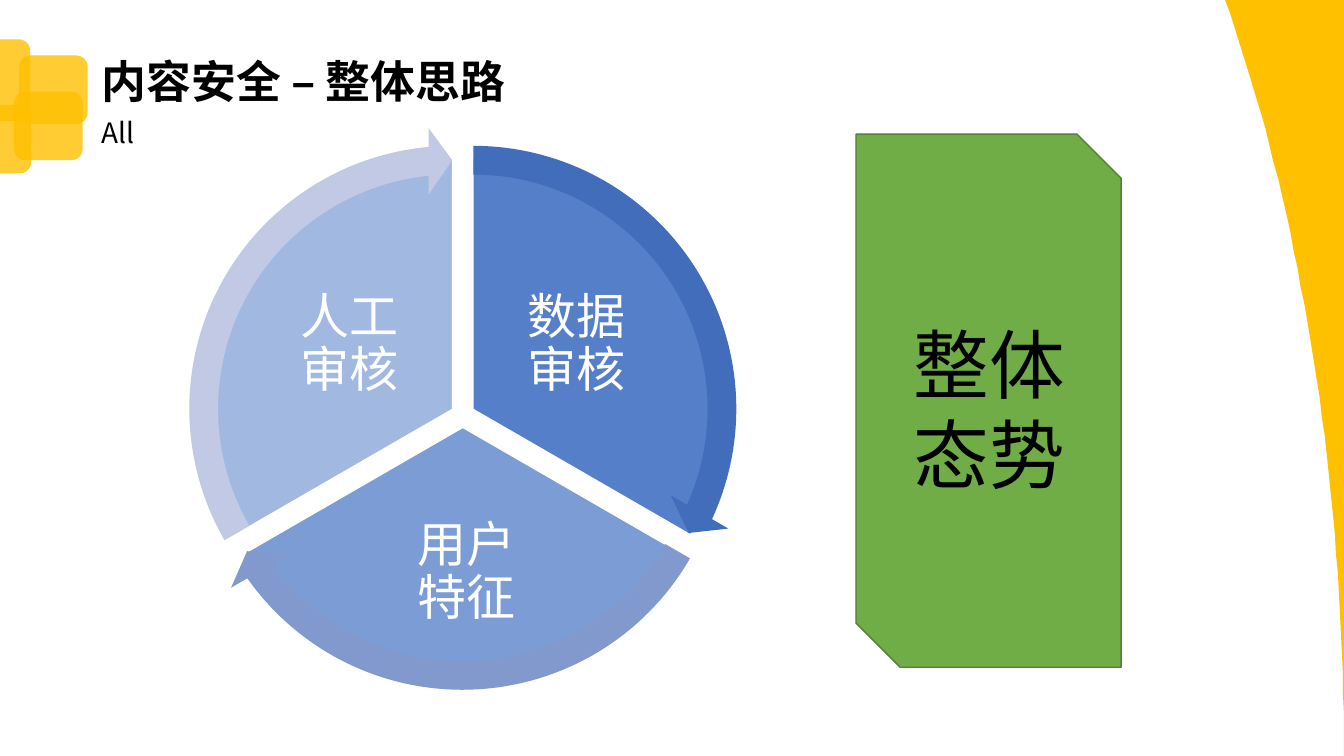
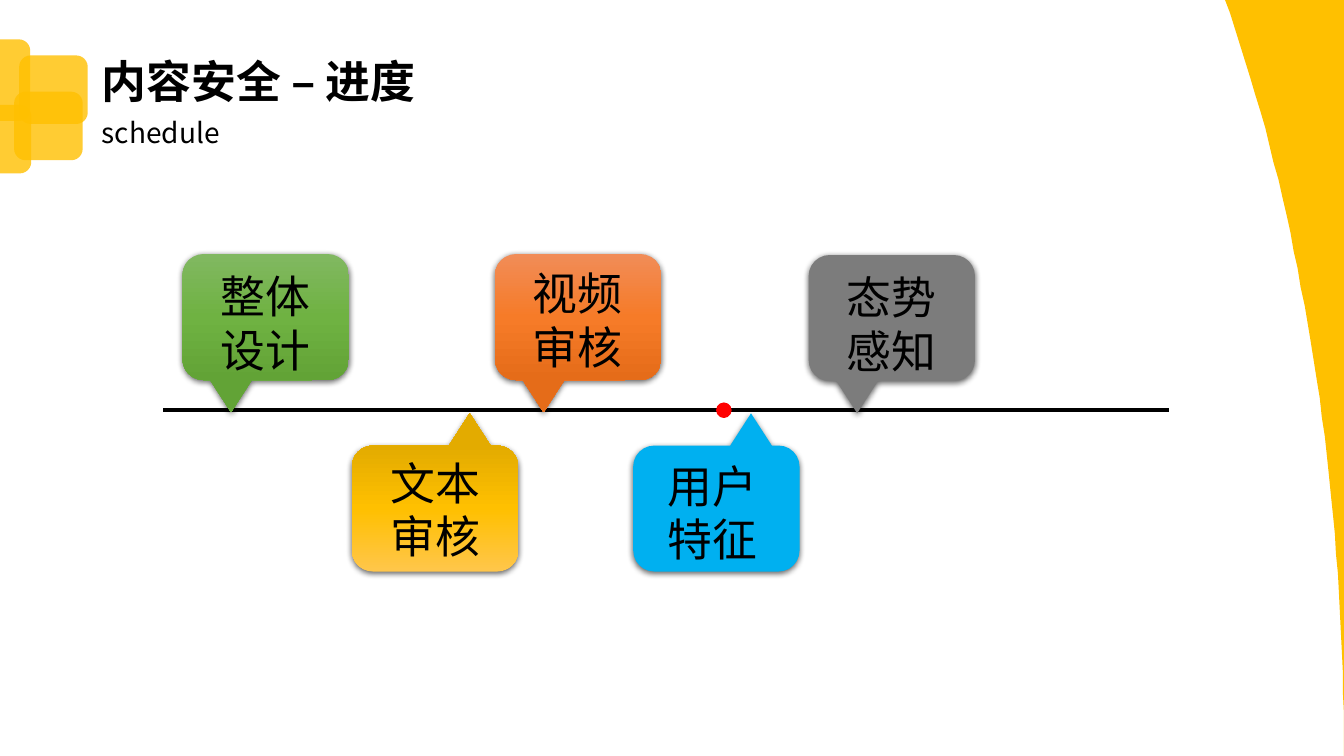
"""Build two content-safety slides: the overall approach and the schedule."""
from lxml import etree
from pptx import Presentation
from pptx.dml.color import RGBColor
from pptx.enum.shapes import MSO_CONNECTOR, MSO_SHAPE
from pptx.enum.text import MSO_ANCHOR, PP_ALIGN
from pptx.oxml.ns import qn
from pptx.util import Pt

PX = 9144
WIDTH, HEIGHT = 1333, 750
FONT = "Noto Sans CJK SC"
BLACK, WHITE, GOLD, BLUE = "000000", "FFFFFF", "FFC000", "4472C4"
ROUNDED, PIE = MSO_SHAPE.ROUNDED_RECTANGLE, MSO_SHAPE.PIE
ARROW, OVAL = MSO_SHAPE.CIRCULAR_ARROW, MSO_SHAPE.OVAL
SNIPPED = MSO_SHAPE.SNIP_2_DIAG_RECTANGLE
CALLOUT = MSO_SHAPE.ROUNDED_RECTANGULAR_CALLOUT
STRAIGHT = MSO_CONNECTOR.STRAIGHT
LEFT, CENTER, MIDDLE = PP_ALIGN.LEFT, PP_ALIGN.CENTER, MSO_ANCHOR.MIDDLE


def emu(*lengths):
    return [round(length * PX) for length in lengths]


def color(hex_code):
    return RGBColor.from_string(hex_code)


def add_element(parent, tag, **attributes):
    element = etree.SubElement(parent, qn(tag))
    for key, value in attributes.items():
        element.set(key, str(value))
    return element


def paint(shape, fill, alpha=100, line=None):
    """Give a shape a solid fill, an optional 1 pt outline and no shadow."""
    shape.shadow.inherit = False
    shape.fill.solid()
    shape.fill.fore_color.rgb = color(fill)
    if alpha < 100:
        rgb = shape.element.spPr.find(qn("a:solidFill"))[0]
        add_element(rgb, "a:alpha", val=alpha * 1000)
    if line:
        shape.line.color.rgb = color(line)
        shape.line.width = Pt(1)
    else:
        shape.line.fill.background()


def add_preset(slide, kind, box, fill, adjustments=(), **style):
    shape = slide.shapes.add_shape(kind, *emu(*box))
    for index, value in enumerate(adjustments):
        shape.adjustments[index] = value
    paint(shape, fill, **style)
    return shape


def write(frame, lines, size, align, ink, spacing, bold=False):
    """Write lines into one paragraph, parted by line breaks."""
    frame.word_wrap = True
    frame.vertical_anchor = MIDDLE
    paragraph = frame.paragraphs[0]
    paragraph.alignment = align
    paragraph.line_spacing = spacing
    for index, line in enumerate(lines):
        if index:
            paragraph.add_line_break()
        run = paragraph.add_run()
        run.text = line
        run.font.name = FONT
        run.font.size = Pt(size)
        run.font.bold = bold
        run.font.color.rgb = color(ink)
        add_element(run.font._element, "a:ea", typeface=FONT)


def add_label(slide, lines, box, size, ink=BLACK, tightness=1.2):
    """Add a centred label with a fixed distance between its lines."""
    label = slide.shapes.add_textbox(*emu(*box))
    frame = label.text_frame
    frame.margin_left = frame.margin_right = 0
    write(frame, lines, size, CENTER, ink, Pt(round(size * tightness, 1)))


def curve_points(start, control1, control2, end, steps=40):
    """Return points along a cubic curve, from its start to its end."""
    points = []
    for step in range(steps + 1):
        t = step / steps
        u = 1 - t
        weights = (u ** 3, 3 * u * u * t, 3 * u * t * t, t ** 3)
        corners = (start, control1, control2, end)
        points.append(tuple(sum(w * corner[axis] for w, corner in zip(weights, corners))
                            for axis in (0, 1)))
    return points


def decorate_layout(slide, layout):
    """Draw the gold squares and side band, and hand them to the layout."""
    squares = [(-38, 39, 68, 81), (19, 55, 68, 68), (14, 91, 68, 68), (-37, 104, 68, 68)]
    decor = [add_preset(slide, ROUNDED, square, GOLD, alpha=80) for square in squares]
    outline = slide.shapes.build_freeform(1215, 0, scale=PX)
    edge = curve_points((WIDTH, HEIGHT), (WIDTH, 477), (1291, 223), (1220, 13))
    outline.add_line_segments([(WIDTH, 0)] + edge, close=True)
    band = outline.convert_to_shape()
    paint(band, GOLD)
    for number, shape in enumerate(decor + [band], start=20):
        shape.element.nvSpPr.cNvPr.set("id", str(number))
        layout.shapes.element.append(shape.element)


def add_heading(slide, heading, subtitle):
    title = slide.shapes.title
    title.left, title.top, title.width, title.height = emu(91, 54, 440, 59)
    write(title.text_frame, [heading], 32, LEFT, BLACK, 0.9, bold=True)
    caption = slide.shapes.add_textbox(*emu(91, 113, 758, 40))
    write(caption.text_frame, [subtitle], 20, LEFT, BLACK, 0.9)


def build_approach(slide):
    """Draw the three-part cycle and the overall-situation block."""
    add_heading(slide, "内容安全 – 整体思路", "All")
    sectors = [
        (("数据", "审核"), (220, 157), (162, 18), 90, (483, 268, 178, 148)),
        (("用户", "特征"), (210, 175), (18, 90), 70, (329, 503, 267, 130)),
        (("人工", "审核"), (200, 157), (90, 162), 50, (258, 268, 178, 148)),
    ]
    for lines, corner, angles, alpha, label_box in sectors:
        add_preset(slide, PIE, (*corner, 498, 498), BLUE, angles, alpha=alpha, line=WHITE)
        add_label(slide, lines, label_box, 35, WHITE, 1.08)
    arrows = [
        ((190, 126), 14.725, 161.994, "416DBB"),
        ((179, 144), 86.72, 18.005, "8299CE"),
        ((169, 126), 158.73, 90, "C1C9E4"),
    ]
    for corner, end, start, fill in arrows:
        add_preset(slide, ARROW, (*corner, 559, 559), fill, (0.051, 3.275, end, start, 0.059))
    add_preset(slide, SNIPPED, (849, 133, 263, 529), "70AD47", line="538035")
    add_label(slide, ("整体", "态势"), (895, 309, 172, 192), 54)


def add_callout(slide, corner, fills, rotation):
    """Add a callout with a soft shadow, filled plainly or with a gradient."""
    callout = add_preset(slide, CALLOUT, (*corner, 165, 125), fills[0], (-0.208, 0.756, 0.167))
    callout.rotation = rotation
    if len(fills) > 1:
        callout.fill.gradient()
        callout.fill.gradient_angle = 270
        stops = callout.element.spPr.find(qn("a:gradFill")).find(qn("a:gsLst"))
        for stop in list(stops):
            stops.remove(stop)
        for index, fill in enumerate(fills):
            stop = add_element(stops, "a:gs", pos=100000 * index // (len(fills) - 1))
            add_element(stop, "a:srgbClr", val=fill)
    effects = callout.element.spPr.find(qn("a:effectLst"))
    shadow = add_element(effects, "a:outerShdw", blurRad=Pt(4.5), dist=Pt(1.5),
                         dir=90 * 60000, algn="ctr", rotWithShape=0)
    shade = add_element(shadow, "a:srgbClr", val=BLACK)
    add_element(shade, "a:alpha", val=63000)


def build_schedule(slide):
    """Draw the time line, its milestones and the marker for today."""
    add_heading(slide, "内容安全 – 进度", "schedule")
    timeline = slide.shapes.add_connector(STRAIGHT, *emu(162, 407, 1159, 407))
    timeline.line.color.rgb = color(BLACK)
    timeline.line.width = Pt(3)
    add_element(timeline.element.spPr, "a:effectLst")
    milestones = [
        (("整体", "设计"), (181, 252), (208, 261), 0, ("81B861", "6FB242", "62A336")),
        (("文本", "审核"), (349, 442), (377, 446), 180, ("FFC64B", GOLD, "E3AB00")),
        (("视频", "审核"), (491, 252), (518, 258), 0, ("F18C57", "F67B28", "E56C19")),
        (("用户", "特征"), (628, 442), (652, 449), 180, ("00B0F0",)),
        (("态势", "感知"), (802, 253), (829, 262), 0, ("7C7C7C",)),
    ]
    for lines, corner, label_corner, rotation, fills in milestones:
        add_callout(slide, corner, fills, rotation)
        add_label(slide, lines, (*label_corner, 110, 118), 32)
    add_preset(slide, OVAL, (711, 400, 14, 14), "FF0000", line="FF0000")


def main():
    presentation = Presentation()
    presentation.slide_width, presentation.slide_height = emu(WIDTH, HEIGHT)
    layout = presentation.slide_layouts[5]
    approach, schedule = [presentation.slides.add_slide(layout) for _ in range(2)]
    decorate_layout(approach, layout)
    build_approach(approach)
    build_schedule(schedule)
    presentation.save("out.pptx")


if __name__ == "__main__":
    main()
